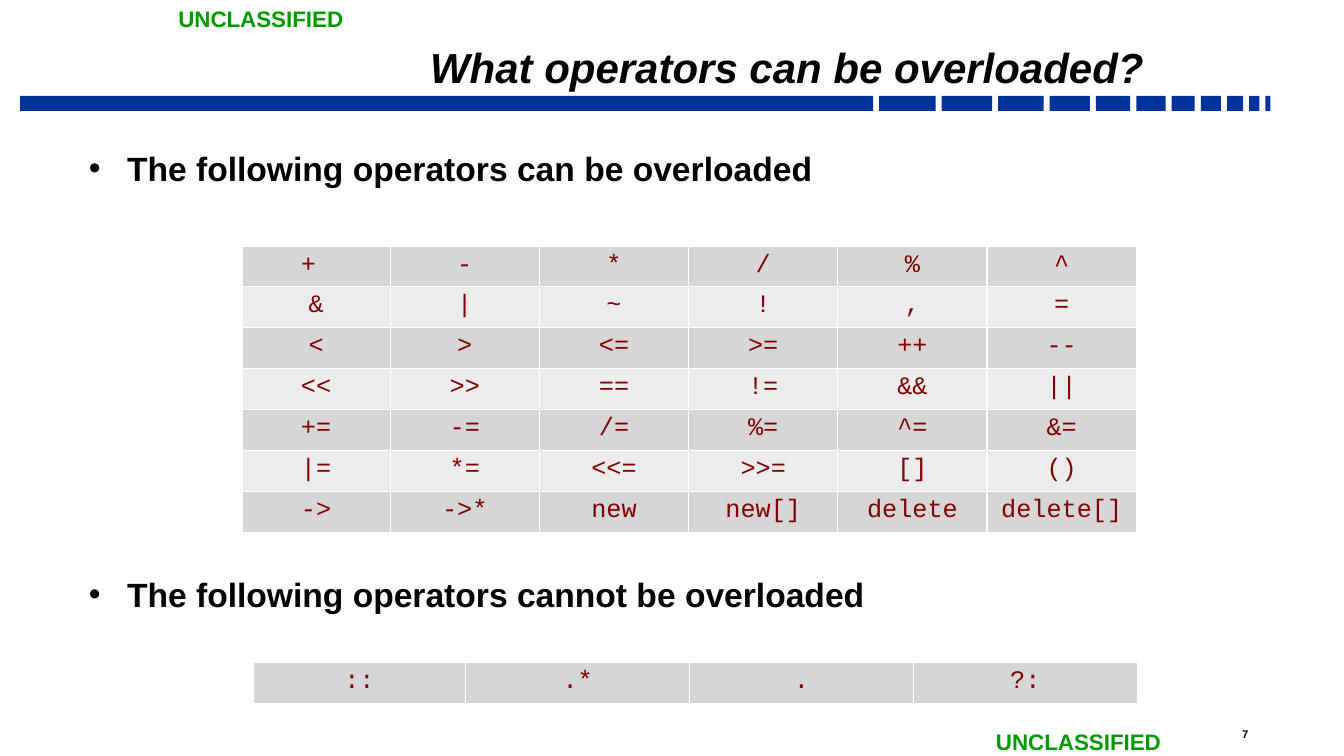
from lxml import etree
from pptx import Presentation
from pptx import util as u
from pptx.dml.color import RGBColor
from pptx.enum import shapes, text
from pptx.oxml import ns

PX = 9144  # 100 px to the inch
BLACK = RGBColor(0x00, 0x00, 0x00)
WHITE = RGBColor(0xFF, 0xFF, 0xFF)
BLUE = RGBColor(0x00, 0x33, 0x99)
GREEN = RGBColor(0x00, 0x99, 0x00)
MAROON = RGBColor(0x80, 0x00, 0x00)
BAND_FILLS = [RGBColor(0xD6, 0xD6, 0xD6), RGBColor(0xEC, 0xEC, 0xEC)]

presentation = Presentation()
presentation.slide_width = 1333 * PX
presentation.slide_height = 750 * PX
slide = presentation.slides.add_slide(presentation.slide_layouts[6])
slide.background.fill.solid()
slide.background.fill.fore_color.rgb = WHITE


def add_label(lines, left, top, width, height, size, color=BLACK, wrap=True):
    """Add a bold Arial text box with one paragraph per line."""
    frame = slide.shapes.add_textbox(left * PX, top * PX, width * PX, height * PX).text_frame
    frame.word_wrap = wrap
    frame.text = "\n".join(lines)
    for paragraph in frame.paragraphs:
        font = paragraph.runs[0].font
        font.name, font.size, font.bold = "Arial", u.Pt(size), True
        font.color.rgb = color
    return frame


def add_operator_table(rows, left, top, widths):
    """Add a banded table of operators with thin white borders."""
    row_height = 284 * PX // 7
    table = slide.shapes.add_table(
        len(rows), len(widths), left * PX, top * PX, sum(widths) * PX, row_height * len(rows)
    ).table
    table.first_row = table.horz_banding = False
    for column, width in zip(table.columns, widths):
        column.width = width * PX
    for row_index, operators in enumerate(rows):
        table.rows[row_index].height = row_height
        for column_index, operator in enumerate(operators):
            cell = table.cell(row_index, column_index)
            cell.text = operator
            paragraph = cell.text_frame.paragraphs[0]
            paragraph.alignment = text.PP_ALIGN.CENTER
            font = paragraph.runs[0].font
            font.name, font.size = "Courier New", u.Pt(18)
            font.color.rgb = MAROON
            properties = cell._tc.get_or_add_tcPr()
            for side in ("lnL", "lnR", "lnT", "lnB"):
                border = etree.SubElement(properties, ns.qn(f"a:{side}"), w=str(u.Pt(1)))
                fill = etree.SubElement(border, ns.qn("a:solidFill"))
                etree.SubElement(fill, ns.qn("a:srgbClr"), val=str(WHITE))
            cell.fill.solid()
            cell.fill.fore_color.rgb = BAND_FILLS[row_index % 2]


# Header rule breaking up into ever shorter bars
bar_left, bar_gap = 20, 6
for bar_width in (846, 56, 50, 45, 40, 34, 29, 23, 20, 16, 10, 5):
    bar = slide.shapes.add_shape(
        shapes.MSO_SHAPE.RECTANGLE, bar_left * PX, 95 * PX, bar_width * PX, 15 * PX
    )
    bar.shadow.inherit = False
    bar.fill.solid()
    bar.fill.fore_color.rgb = BLUE
    bar.line.fill.background()
    bar_left += bar_width + bar_gap

# Slide number and markings
add_label(["7"], 1222, 717, 72, 23, 8)
for marking_left, marking_top in ((167, 0), (978, 717)):
    add_label(["UNCLASSIFIED"], marking_left, marking_top, 186, 37, 16, GREEN, wrap=False)

# Title
title = add_label(["What operators can be overloaded?"], 222, 35, 922, 59, 30)
title.vertical_anchor = text.MSO_ANCHOR.BOTTOM
title.margin_left = title.margin_right = 9 * PX
title.margin_top = title.margin_bottom = 4 * PX
title_paragraph = title.paragraphs[0]
title_paragraph.alignment = text.PP_ALIGN.RIGHT
title_paragraph.line_spacing = 0.7
title_paragraph.runs[0].font.italic = True

# Bullets, spaced to leave room for the first table
bullets = add_label(
    ["The following operators can be overloaded", "The following operators cannot be overloaded"],
    79, 140, 1209, 517, 24,
)
bullets.margin_left = bullets.margin_right = 9 * PX
bullets.margin_top = 7 * PX
bullets.paragraphs[1].space_before = u.Pt(275)
for paragraph in bullets.paragraphs:
    properties = paragraph._p.get_or_add_pPr()
    properties.set("marL", str(38 * PX))
    properties.set("indent", str(-38 * PX))
    etree.SubElement(properties, ns.qn("a:buFont"), typeface="Arial")
    etree.SubElement(properties, ns.qn("a:buChar"), char="•")

# Operator tables
add_operator_table(
    [
        ["+ ", "-", "*", "/", "%", "^"],
        ["&", "|", "~", "!", ",", "="],
        ["<", ">", "<=", ">=", "++", "--"],
        ["<<", ">>", "==", "!=", "&&", "||"],
        ["+=", "-=", "/=", "%=", "^=", "&="],
        ["|=", "*=", "<<=", ">>=", "[]", "()"],
        ["->", "->*", "new", "new[]", "delete", "delete[]"],
    ],
    240, 244, [147] + [148] * 5,
)
add_operator_table([["::", ".*", ".", "?:"]], 251, 657, [211] + [222] * 3)

presentation.save("out.pptx")
